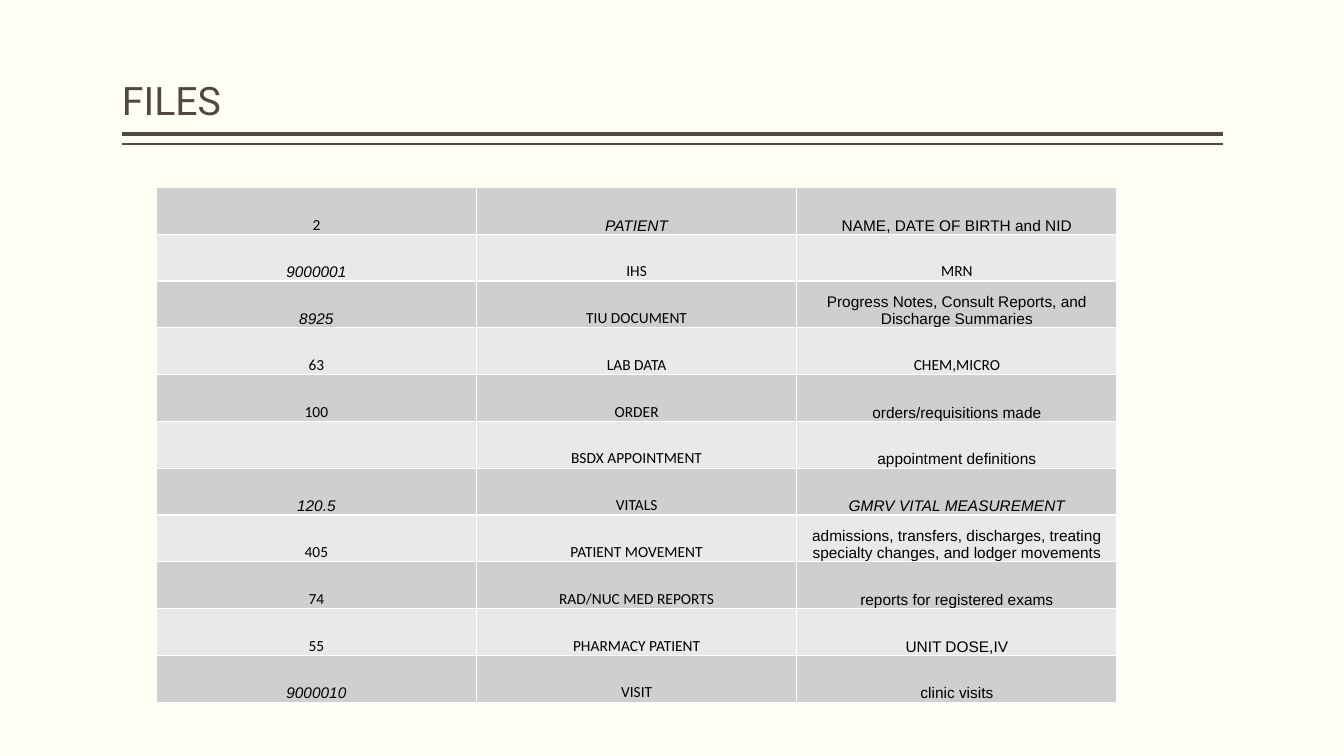
from dataclasses import dataclass

from lxml import etree
from pptx import Presentation
from pptx import util as u
from pptx.dml.color import RGBColor
from pptx.enum import shapes, text
from pptx.oxml import ns

COLORS = {
    "page": "FFFFF3",
    "heading": "514843",
    "body": "000000",
    "border": "FFFFFF",
    "odd_row": "D0CFCF",
    "even_row": "E9E9E9",
}
LEFT, RIGHT = 1.21, 12.13
TABLE_WIDTH, TABLE_HEIGHT = 9.53, 5.11


@dataclass(frozen=True)
class Entry:
    words: str
    font: str = "Calibri"
    italic: bool = False


@dataclass(frozen=True)
class Rule:
    top: float
    weight: float


def arial(words: str) -> Entry:
    return Entry(words, "Arial")


def slanted(words: str) -> Entry:
    return Entry(words, "Arial", True)


RULES = [Rule(1.33, 3), Rule(1.43, 1)]

# File number, file name, contents
FILES = [
    (Entry("2"), slanted("PATIENT"), arial("NAME, DATE OF BIRTH and NID")),
    (slanted("9000001"), Entry("IHS"), Entry("MRN")),
    (slanted("8925"), Entry("TIU DOCUMENT"),
     arial("Progress Notes, Consult Reports, and Discharge Summaries")),
    (Entry("63"), Entry("LAB DATA"), Entry("CHEM,MICRO")),
    (Entry("100"), Entry("ORDER"), arial("orders/requisitions made")),
    (Entry(""), Entry("BSDX APPOINTMENT"), arial("appointment definitions")),
    (slanted("120.5"), Entry("VITALS"), slanted("GMRV VITAL MEASUREMENT")),
    (Entry("405"), Entry("PATIENT MOVEMENT"),
     arial("admissions, transfers, discharges, treating specialty changes, "
           "and lodger movements")),
    (Entry("74"), Entry("RAD/NUC MED REPORTS"), arial("reports for registered exams")),
    (Entry("55"), Entry("PHARMACY PATIENT"), arial("UNIT DOSE,IV")),
    (slanted("9000010"), Entry("VISIT"), arial("clinic visits")),
]


def color(name: str) -> RGBColor:
    return RGBColor.from_string(COLORS[name])


def apply(target, values: dict) -> None:
    for name, value in values.items():
        setattr(target, name, value)


def write(para, entry: Entry, size: float, shade: str) -> None:
    span = para.add_run()
    span.text = entry.words
    apply(span.font, {"name": entry.font, "size": u.Pt(size), "italic": entry.italic})
    span.font.color.rgb = color(shade)


def draw_rule(page, rule: Rule) -> None:
    line = page.shapes.add_connector(
        shapes.MSO_CONNECTOR.STRAIGHT,
        u.Inches(RIGHT), u.Inches(rule.top), u.Inches(LEFT), u.Inches(rule.top))
    line.line.color.rgb = color("heading")
    line.line.width = u.Pt(rule.weight)
    etree.SubElement(line._element.spPr, ns.qn("a:effectLst"))


def draw_title(page, words: str) -> None:
    box = page.shapes.add_textbox(
        u.Inches(LEFT), u.Inches(0.08), u.Inches(RIGHT - LEFT), u.Inches(1.2))
    apply(box.text_frame, {
        "word_wrap": True,
        "vertical_anchor": text.MSO_ANCHOR.BOTTOM,
        "margin_left": 0,
        "margin_right": 0,
        "margin_top": u.Inches(0.05),
        "margin_bottom": u.Inches(0.05),
    })
    para = box.text_frame.paragraphs[0]
    para.line_spacing = 0.9
    write(para, Entry(words, "Roboto"), 28, "heading")


def add_borders(cell) -> None:
    properties = cell._tc.get_or_add_tcPr()
    for side in ("lnL", "lnR", "lnT", "lnB"):
        border = etree.SubElement(properties, ns.qn(f"a:{side}"), w=str(u.Pt(1)))
        fill = etree.SubElement(border, ns.qn("a:solidFill"))
        etree.SubElement(fill, ns.qn("a:srgbClr"), val=COLORS["border"])


def fill_cell(cell, entry: Entry, shade: str) -> None:
    add_borders(cell)
    cell.fill.solid()
    cell.fill.fore_color.rgb = color(shade)
    apply(cell, {
        "vertical_anchor": text.MSO_ANCHOR.BOTTOM,
        "margin_left": u.Inches(0.01),
        "margin_right": u.Inches(0.01),
        "margin_top": u.Inches(0.01),
        "margin_bottom": 0,
    })
    para = cell.text_frame.paragraphs[0]
    para.alignment = text.PP_ALIGN.CENTER
    if entry.words:
        write(para, entry, 11, "body")


def draw_table(page, rows: list) -> None:
    frame = page.shapes.add_table(
        len(rows), len(rows[0]), u.Inches(1.55), u.Inches(1.86),
        u.Inches(TABLE_WIDTH), u.Inches(TABLE_HEIGHT))
    table = frame.table
    apply(table, {"first_row": False, "horz_banding": False})
    for index, entries in enumerate(rows):
        shade = "even_row" if index % 2 else "odd_row"
        for column, entry in enumerate(entries):
            fill_cell(table.cell(index, column), entry, shade)


def main() -> None:
    deck = Presentation()
    apply(deck, {"slide_width": u.Inches(13.33), "slide_height": u.Inches(7.5)})
    page = deck.slides.add_slide(deck.slide_layouts[6])
    page.background.fill.solid()
    page.background.fill.fore_color.rgb = color("page")

    # Heading with its double rule
    for rule in RULES:
        draw_rule(page, rule)
    draw_title(page, "FILES")

    # List of files
    draw_table(page, FILES)
    deck.save("out.pptx")


if __name__ == "__main__":
    main()
